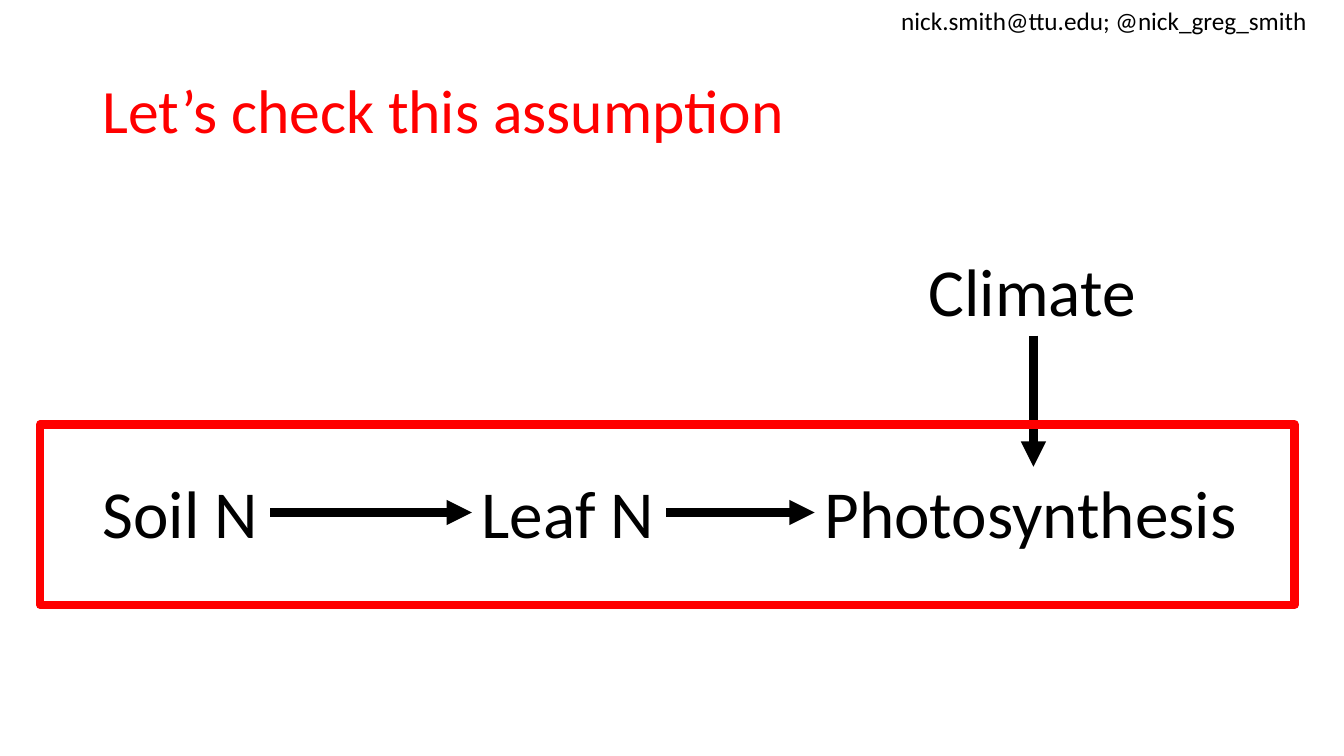
from lxml import etree
from pptx import Presentation
from pptx.dml.color import RGBColor
from pptx.enum.shapes import MSO_CONNECTOR, MSO_SHAPE
from pptx.enum.text import MSO_ANCHOR as Anchor
from pptx.oxml.ns import qn
from pptx.util import Inches, Pt

# Content: text, (left, top, width, height) in inches
BLACK, RED = "000000", "FF0000"
TITLE = ("Let’s check this assumption", (0.92, 0.4, 11.5, 1.45))
CONTACT = ("nick.smith@ttu.edu; @nick_greg_smith", (8.84, 0, 4.27, 0.4))
NODES = {
    "Soil N": (0.92, 4.63, 1.76, 0.91),
    "Leaf N": (4.68, 4.63, 1.93, 0.91),
    "Photosynthesis": (8.08, 4.63, 4.33, 0.91),
    "Climate": (9.11, 2.42, 2.28, 0.91),
}
ACROSS = [("Soil N", "Leaf N"), ("Leaf N", "Photosynthesis")]
DOWN = [("Climate", "Photosynthesis")]
FRAME = (0.4, 4.21, 12.44, 1.79)
LINE_WIDTH = 6

presentation = Presentation()
presentation.slide_width, presentation.slide_height = Inches(13.33), Inches(7.5)
slide = presentation.slides.add_slide(presentation.slide_layouts[6])


def color(value):
    return RGBColor.from_string(value)


def add_text(text, box, size, ink=BLACK, wrap=False, anchor=Anchor.TOP, spacing=1.0):
    shape = slide.shapes.add_textbox(*map(Inches, box))
    frame = shape.text_frame
    frame.word_wrap, frame.vertical_anchor = wrap, anchor
    paragraph = frame.paragraphs[0]
    paragraph.text, paragraph.line_spacing = text, spacing
    font = paragraph.runs[0].font
    for name, value in {"name": "Calibri", "size": Pt(size)}.items():
        setattr(font, name, value)
    font.color.rgb = color(ink)


def style_line(line, ink):
    line.color.rgb = color(ink)
    line.width = Pt(LINE_WIDTH)


def add_arrow(start, end):
    arrow = slide.shapes.add_connector(
        MSO_CONNECTOR.STRAIGHT, *map(Inches, start + end))
    style_line(arrow.line, BLACK)
    etree.SubElement(arrow.line._get_or_add_ln(), qn("a:tailEnd"), type="triangle")
    etree.SubElement(arrow._element.spPr, qn("a:effectLst"))


# Title and diagram labels
add_text(*TITLE, 44, RED, wrap=True, anchor=Anchor.MIDDLE, spacing=0.9)
for label, box in NODES.items():
    add_text(label, box, 48)

# Arrows run from the edge of one label to the edge of the next
for source, target in ACROSS:
    left, top, width, height = NODES[source]
    middle = top + height / 2
    add_arrow((left + width, middle), (NODES[target][0], middle))
for source, target in DOWN:
    left, top, width, height = NODES[source]
    center = left + width / 2
    add_arrow((center, top + height), (center, NODES[target][1]))

# Red frame around the assumption
frame_shape = slide.shapes.add_shape(MSO_SHAPE.RECTANGLE, *map(Inches, FRAME))
frame_shape.shadow.inherit = False
frame_shape.fill.background()
style_line(frame_shape.line, RED)

# Contact line
add_text(*CONTACT, 18)

presentation.save("out.pptx")
